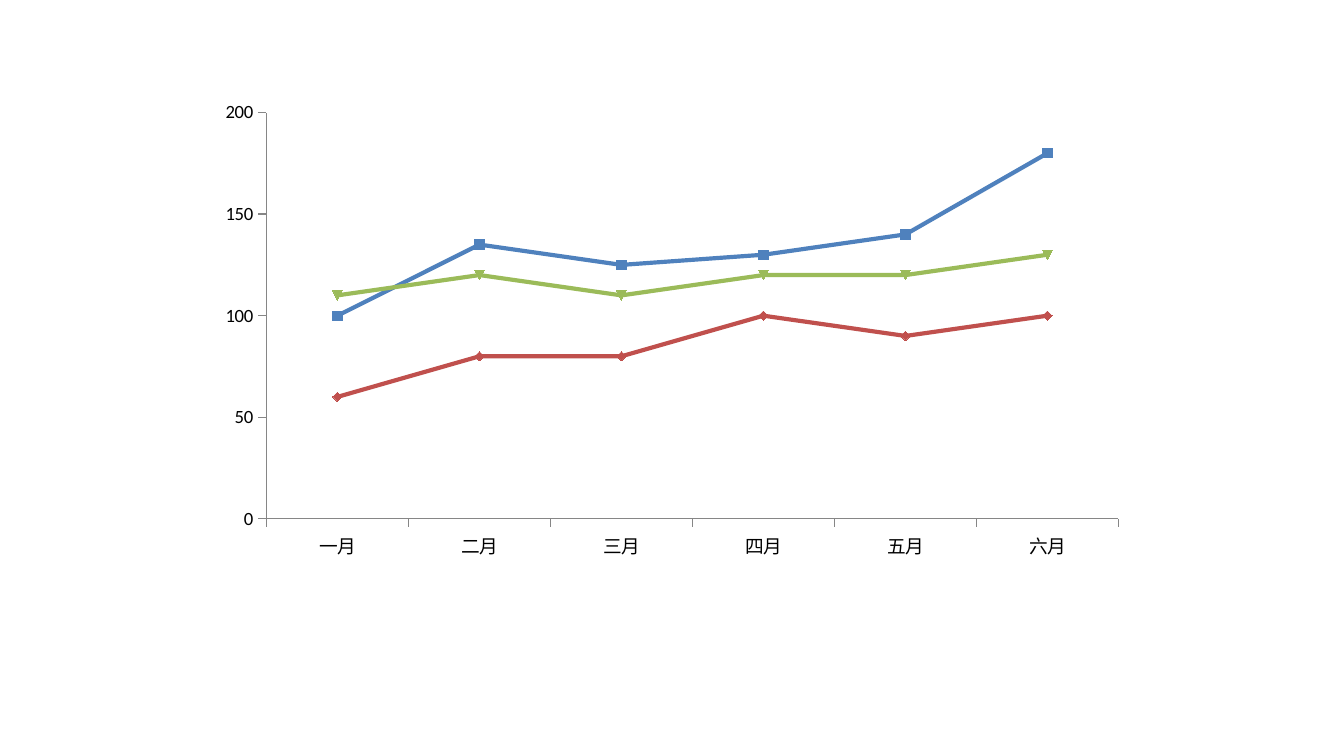
from pptx import Presentation
from pptx import util as u
from pptx.chart import data as cd
from pptx.dml import color as dc
from pptx.enum import chart as ec

HUES = {"blue": "4F81BD", "red": "C0504D", "green": "9BBB59",
        "axis": "868686", "text": "000000"}
MONTHS = ["一月", "二月", "三月", "四月", "五月", "六月"]
ROWS = [
    ("Series 1", "blue", (100, 135, 125, 130, 140, 180)),
    ("Series 2", "red", (60, 80, 80, 100, 90, 100)),
    ("Series 3", "green", (110, 120, 110, 120, 120, 130)),
]


def hue(name):
    """Return the named colour."""
    return dc.RGBColor.from_string(HUES[name])


def style_axis(axis):
    """Give an axis a thin grey line, outer ticks and no grid."""
    axis.has_major_gridlines = False
    axis.major_tick_mark = ec.XL_TICK_MARK.OUTSIDE
    axis.minor_tick_mark = ec.XL_TICK_MARK.NONE
    axis.format.line.color.rgb = hue("axis")
    axis.format.line.width = u.Pt(0.75)


def style_row(row, name):
    """Colour a series line and its markers."""
    row.smooth = False
    row.format.line.color.rgb = hue(name)
    row.format.line.width = u.Pt(2.25)
    mark = row.marker.format
    mark.fill.solid()
    mark.fill.fore_color.rgb = hue(name)
    mark.line.color.rgb = hue(name)


def draw_trend(slide, left, top, width, height):
    """Place the monthly line chart in the given box."""
    data = cd.CategoryChartData(number_format="General")
    data.categories = MONTHS
    for name, _, vals in ROWS:
        data.add_series(name, vals)
    chart = slide.shapes.add_chart(
        ec.XL_CHART_TYPE.LINE_MARKERS, left, top, width, height, data).chart
    chart.has_legend = False
    chart.has_title = False
    chart.font.name = "Calibri"
    chart.font.size = u.Pt(10)
    chart.font.color.rgb = hue("text")
    plot = chart.plots[0]
    plot.vary_by_categories = False
    for row, (_, name, _) in zip(plot.series, ROWS):
        style_row(row, name)
    style_axis(chart.category_axis)
    axis = chart.value_axis
    style_axis(axis)
    axis.minimum_scale, axis.maximum_scale, axis.major_unit = 0, 200, 50
    axis.tick_labels.number_format = "#,##0"
    axis.tick_labels.number_format_is_linked = False


def main():
    """Build and save the slide."""
    deck = Presentation()
    deck.slide_width, deck.slide_height = u.Cm(25.4), u.Cm(14.29)
    slide = deck.slides.add_slide(deck.slide_layouts[6])
    draw_trend(slide, u.Cm(3.91), u.Cm(1.75), u.Cm(17.58), u.Cm(8.99))
    deck.save("out.pptx")


main()
